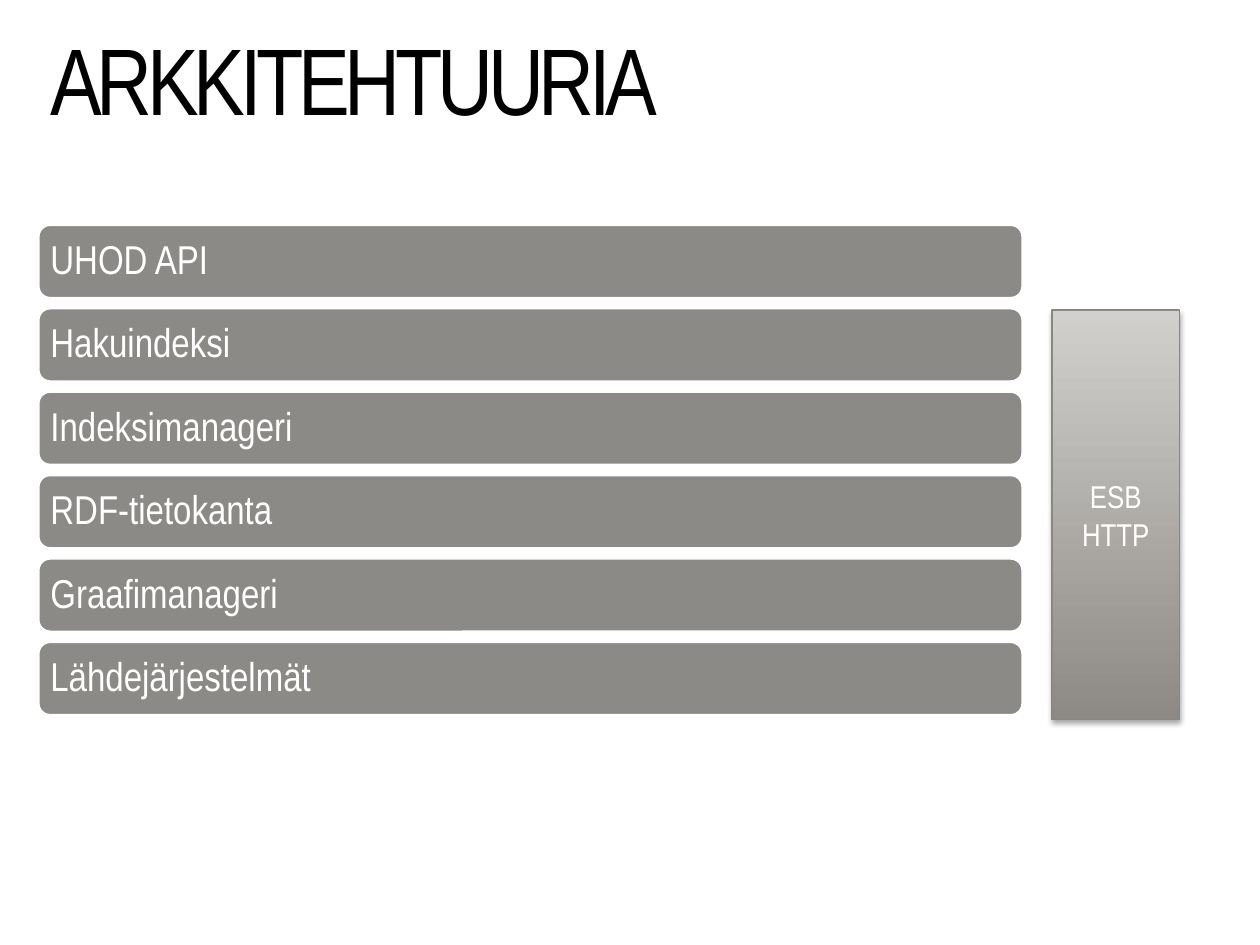
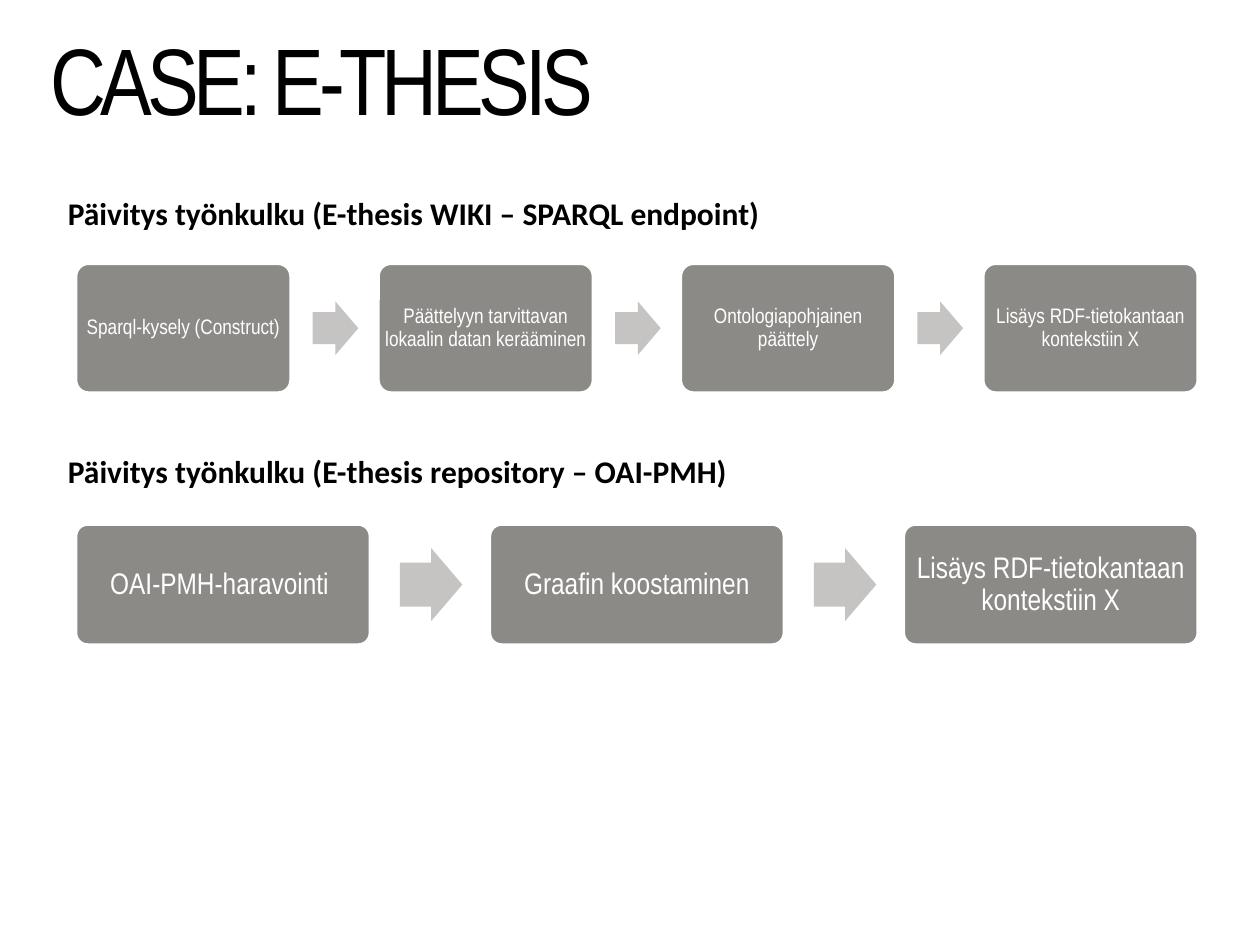
"""Two slides on architecture: a layer stack and two update workflows."""
from dataclasses import dataclass

from lxml import etree
from pptx import Presentation
from pptx.dml.color import RGBColor
from pptx.enum.shapes import MSO_SHAPE
from pptx.enum.text import MSO_ANCHOR, PP_ALIGN
from pptx.oxml.ns import qn
from pptx.util import Inches, Pt

RECTANGLE = MSO_SHAPE.RECTANGLE
ROUNDED = MSO_SHAPE.ROUNDED_RECTANGLE
ARROW = MSO_SHAPE.RIGHT_ARROW
TOP, MIDDLE = MSO_ANCHOR.TOP, MSO_ANCHOR.MIDDLE
LEFT, CENTER = PP_ALIGN.LEFT, PP_ALIGN.CENTER

COLUMNS, ROWS = 100, 75
CORNER_SHARE = 0.29  # share of the corner radius that pushes text inwards


@dataclass(frozen=True)
class Theme:
    """Colours, fonts and type sizes of the deck."""
    black: str = "000000"
    white: str = "FFFFFF"
    box: str = "8C8A87"
    arrow: str = "C5C4C3"
    bus_bottom: str = "8D8A86"
    bus_top: str = "D2D0CD"
    bus_line: str = "898784"
    narrow: str = "Arial Narrow"
    plain: str = "Calibri"
    title: int = 54
    layer: int = 23
    heading: int = 18
    bus: int = 18
    short_step: int = 12
    long_step: int = 17


def color(code):
    """Turn a hex code into a colour."""
    return RGBColor.from_string(code)


def spread(start, end, size, count):
    """Starts of equal items that fill a span with equal gaps."""
    pitch = (end - start - size) / (count - 1)
    return [start + pitch * index for index in range(count)]


class Builder:
    """Holds the theme and the current slide, and draws its elements."""

    def __init__(self, theme):
        """Start an empty deck of 10 by 7.5 inches."""
        self.theme = theme
        self.deck = Presentation()
        self.deck.slide_width, self.deck.slide_height = Inches(10), Inches(7.5)
        self.page = None

    def place(self, left, top, width, height):
        """Turn columns and rows into slide lengths."""
        column = self.deck.slide_width / COLUMNS
        row = self.deck.slide_height / ROWS
        return [round(value * unit) for value, unit in
                zip((left, top, width, height), (column, row, column, row))]

    def start(self, title):
        """Add a blank slide with its title."""
        self.page = self.deck.slides.add_slide(self.deck.slide_layouts[6])
        box = self.page.shapes.add_textbox(*self.place(3, 4, 93.7, 13.7))
        self.fill_text(box, [title], self.theme.title, self.theme.black,
                       spacing=0.65, tracking=-3)

    def fill_text(self, box, lines, size, ink, font=None, bold=False, align=LEFT,
                  anchor=TOP, spacing=1.0, tracking=0, inset=None, wrap=True):
        """Fill a box with paragraphs of one format."""
        frame = box.text_frame
        frame.word_wrap, frame.vertical_anchor = wrap, anchor
        if inset is not None:
            for side in ("left", "right", "top", "bottom"):
                setattr(frame, f"margin_{side}", inset)
        font_format = {"name": font or self.theme.narrow, "size": Pt(size),
                       "bold": bold}
        for index, line in enumerate(lines):
            para = frame.add_paragraph() if index else frame.paragraphs[0]
            para.alignment, para.line_spacing = align, spacing
            span = para.add_run()
            span.text = line
            for name, value in font_format.items():
                setattr(span.font, name, value)
            span.font.color.rgb = color(ink)
            if tracking:
                span._r.get_or_add_rPr().set("spc", str(tracking * 100))

    def shape(self, kind, area, fill, line=None, weight=0, adjustments=()):
        """Draw a flat preset shape."""
        shape = self.page.shapes.add_shape(kind, *self.place(*area))
        shape.shadow.inherit = False
        shape.fill.solid()
        shape.fill.fore_color.rgb = color(fill)
        if line:
            shape.line.color.rgb = color(line)
            shape.line.width = Pt(weight)
        else:
            shape.line.fill.background()
        for index, value in enumerate(adjustments):
            shape.adjustments[index] = value
        return shape

    def card(self, area, text, size, inset, corner=0.1, align=CENTER):
        """Draw a rounded box whose text keeps an inset from its outer edge."""
        box = self.shape(ROUNDED, area, self.theme.box, self.theme.white, 2, [corner])
        push = corner * CORNER_SHARE * min(box.width, box.height)
        self.fill_text(box, [text], size, self.theme.white, align=align, anchor=MIDDLE,
                       spacing=0.9, inset=round(Inches(inset) - push))

    def layers(self, names):
        """Stack one wide card for each layer."""
        height = 5.9
        for top, name in zip(spread(17.8, 56.8, height, len(names)), names):
            self.card((3, top, 78.2, height), name, self.theme.layer, 0.1,
                      corner=0.167, align=LEFT)

    def bus(self, area, lines):
        """Draw the upright bus with a gradient and a soft shadow."""
        theme = self.theme
        box = self.shape(RECTANGLE, area, theme.box, theme.bus_line, 0.75)
        box.fill.gradient()
        box.fill.gradient_angle = 90
        for stop, code in zip(box.fill.gradient_stops, (theme.bus_bottom, theme.bus_top)):
            stop.color.rgb = color(code)
        effects = box._element.spPr.find(qn("a:effectLst"))
        shadow = etree.SubElement(effects, qn("a:outerShdw"), blurRad=str(Pt(3.1)),
                                  dist=str(Pt(1.8)), dir="5400000", rotWithShape="0")
        shade = etree.SubElement(shadow, qn("a:srgbClr"), val=theme.black)
        etree.SubElement(shade, qn("a:alpha"), val="35000")
        self.fill_text(box, lines, theme.bus, theme.white, align=CENTER, anchor=MIDDLE)

    def heading(self, area, text):
        """Add the bold heading of a workflow."""
        box = self.page.shapes.add_textbox(*self.place(*area))
        self.fill_text(box, [text], self.theme.heading, self.theme.black,
                       font=self.theme.plain, bold=True, wrap=False)

    def workflow(self, steps, top, width, height, size, inset):
        """Draw a row of cards joined by arrows in proportion to the cards."""
        gap, length, thickness = 0.1 * width, 0.212 * width, 0.248 * width
        for index, left in enumerate(spread(6, 95.1, width, len(steps))):
            self.card((left, top, width, height), steps[index], size, inset)
            if index < len(steps) - 1:
                middle = top + (height - thickness) / 2
                self.shape(ARROW, (left + width + gap, middle, length, thickness),
                           self.theme.arrow, adjustments=(0.6, 0.5))


def architecture(builder):
    """Build the slide with the layers and the bus."""
    builder.start("ARKKITEHTUURIA")
    builder.layers(["UHOD API", "Hakuindeksi", "Indeksimanageri", "RDF-tietokanta",
                    "Graafimanageri ", "Lähdejärjestelmät"])
    builder.bus((83.5, 24.6, 10.1, 32.5), ["ESB", "HTTP"])


def thesis_case(builder):
    """Build the slide with the two update workflows."""
    theme = builder.theme
    last_step = "Lisäys RDF-tietokantaan kontekstiin X"
    builder.start("CASE: E-THESIS")
    builder.workflow(["Sparql-kysely (Construct)",
                      "Päättelyyn tarvittavan lokaalin datan kerääminen",
                      "Ontologiapohjainen päättely", last_step],
                     20.9, 17.1, 10.3, theme.short_step, 0.05)
    builder.workflow(["OAI-PMH-haravointi ", "Graafin koostaminen", last_step],
                     41.6, 23.4, 9.6, theme.long_step, 0.07)
    builder.heading((4.4, 14.9, 57.4, 4),
                    "Päivitys työnkulku (E-thesis WIKI – SPARQL endpoint)")
    builder.heading((4.4, 35.4, 54.8, 4),
                    "Päivitys työnkulku (E-thesis repository – OAI-PMH)")


def main():
    """Build and save the deck."""
    builder = Builder(Theme())
    architecture(builder)
    thesis_case(builder)
    builder.deck.save("out.pptx")


main()
